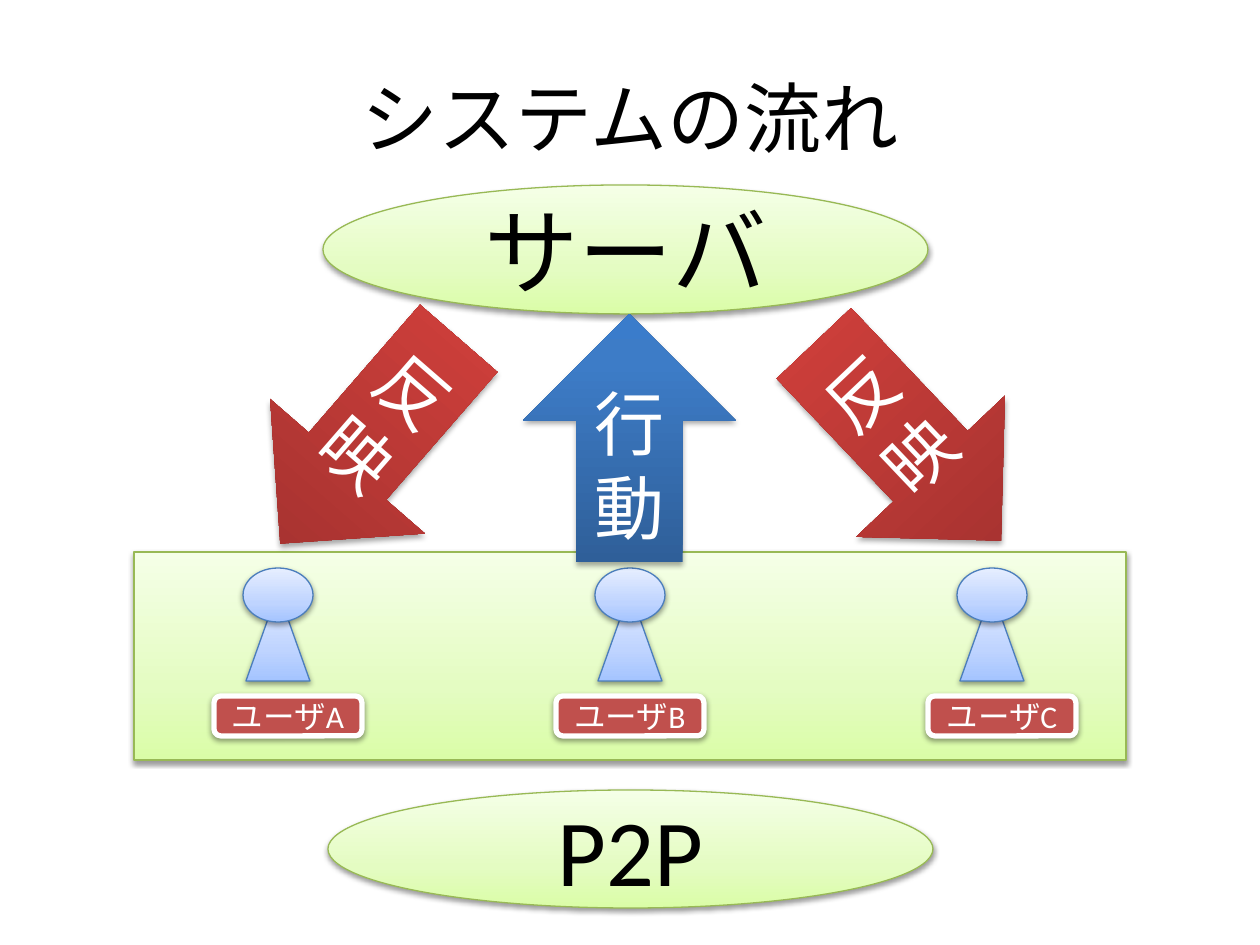
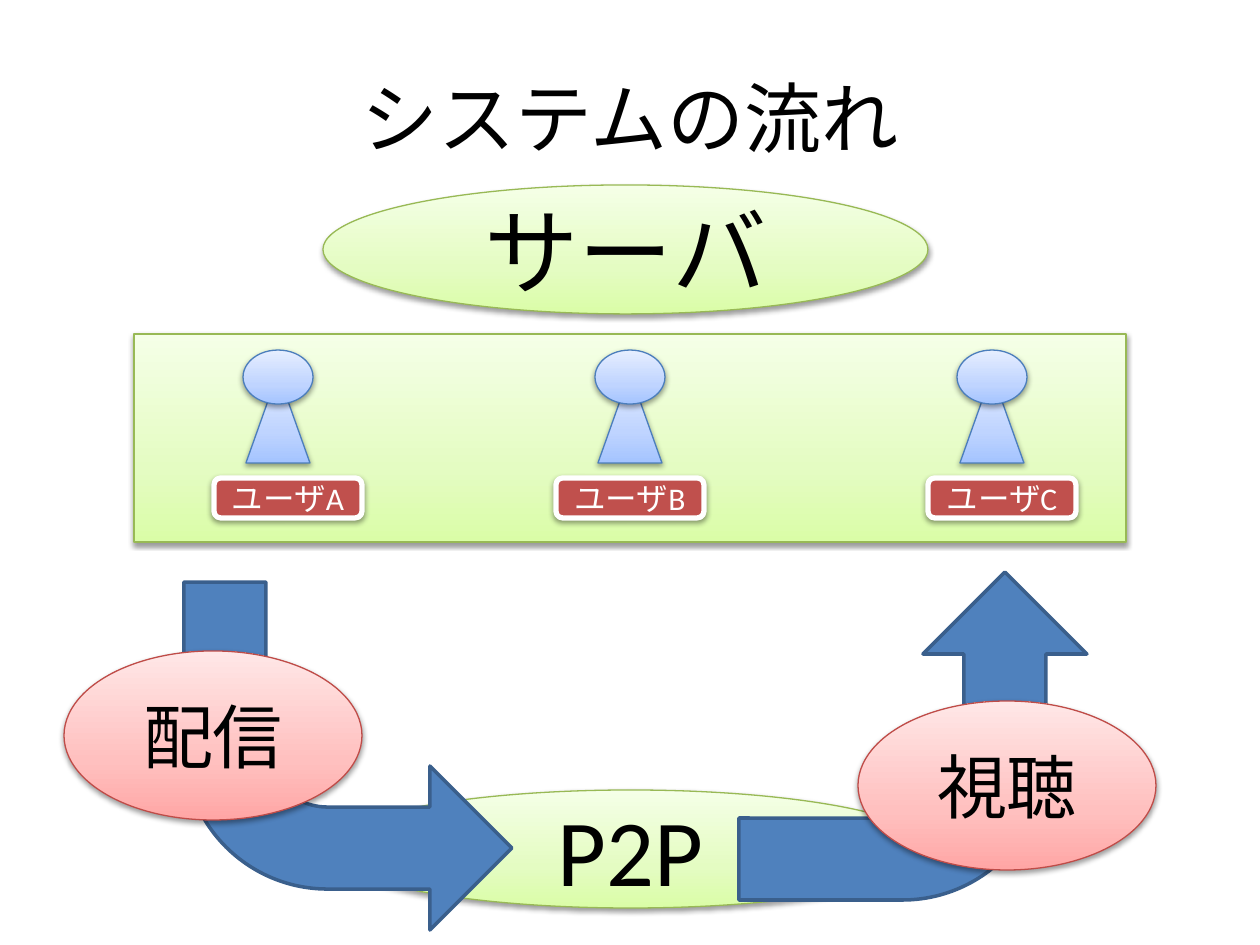
from lxml.etree import SubElement
from pptx import Presentation
from pptx.dml.color import RGBColor
from pptx.enum.lang import MSO_LANGUAGE_ID as Lang
from pptx.enum.shapes import MSO_SHAPE as Shape
from pptx.enum.text import MSO_ANCHOR as Anchor, PP_ALIGN as Align
from pptx.oxml.ns import qn
from pptx.util import Pt

SCALE = 914400 / 126  # EMU in one px
SLIDE_SIZE = (1260, 945)
TITLE_ONLY = 5
FONT = "Calibri"

COLORS = {
    "black": "000000",
    "white": "FFFFFF",
    "label": "C0504D",
    "flow": "4F81BD",
    "flow_line": "3A5F8C",
    "green_line": "98B955",
    "person_line": "4B7EBC",
    "pink_line": "BF4C48",
}
# Gradient stops run from the bottom of a shape to its top
GRADIENTS = {
    "green": ((0, "DAFDA7"), (35, "E4FCC2"), (100, "F5FFE7")),
    "person": ((0, "A4C4FF"), (35, "BFD4FF"), (100, "E6EEFF")),
    "pink": ((0, "FFA6A5"), (35, "FFC0BF"), (100, "FFE7E7")),
    "red": ((0, "9C2F2D"), (80, "CB3E3A"), (100, "CE3B37")),
    "blue": ((0, "2F5F99"), (80, "3D7CC7"), (100, "3A7CCB")),
}
SOFT_SHADOW = {"distance": 20000, "alpha": 38}
STRONG_SHADOW = {"distance": 23000, "alpha": 35}

TITLE_BOX = (63, 38, 1134, 158)
SERVER_BOX = (323, 185, 605, 129)
P2P_BOX = (328, 790, 605, 118)

# Name, centre of the figure and centre of the label, from the band's left
USERS = (("ユーザA", 144, 154), ("ユーザB", 496, 496), ("ユーザC", 858, 868))


def emu(*lengths):
    return [round(length * SCALE) for length in lengths]


def rgb(name):
    return RGBColor.from_string(COLORS[name])


def write(frame, text, size, color):
    """Put one centred run into a text frame."""
    frame.word_wrap = True
    frame.vertical_anchor = Anchor.MIDDLE
    para = frame.paragraphs[0]
    para.alignment = Align.CENTER
    span = para.add_run()
    span.text = text
    font = span.font
    font.name, font.size = FONT, Pt(size)
    font.color.rgb = rgb(color)
    font.language_id = Lang.JAPANESE
    latin = font._element.find(qn("a:latin"))
    east_asian = latin.makeelement(qn("a:ea"), {"typeface": FONT})
    latin.addnext(east_asian)


def fill_gradient(shape, name):
    shape.fill.gradient()
    shape.fill.gradient_angle = 90
    stops = shape._element.spPr.find(".//" + qn("a:gsLst"))
    for stop in list(stops):
        stops.remove(stop)
    for position, color in GRADIENTS[name]:
        stop = SubElement(stops, qn("a:gs"), pos=str(position * 1000))
        SubElement(stop, qn("a:srgbClr"), val=color)


def cast_shadow(shape, distance, alpha):
    effects = shape._element.spPr.find(qn("a:effectLst"))
    shadow = SubElement(effects, qn("a:outerShdw"), blurRad="40000",
                        dist=str(distance), dir="5400000", rotWithShape="0")
    color = SubElement(shadow, qn("a:srgbClr"), val=COLORS["black"])
    SubElement(color, qn("a:alpha"), val=str(alpha * 1000))


def add_part(shapes, kind, box, fill, line=None, width=0.75, shadow=SOFT_SHADOW):
    """Add a preset shape; fill names a gradient or a plain colour."""
    shape = shapes.add_shape(kind, *emu(*box))
    if fill in GRADIENTS:
        fill_gradient(shape, fill)
    else:
        shape.fill.solid()
        shape.fill.fore_color.rgb = rgb(fill)
    if line:
        shape.line.color.rgb = rgb(line)
        shape.line.width = Pt(width)
    else:
        shape.line.fill.background()
    shape.shadow.inherit = False
    if shadow:
        cast_shadow(shape, **shadow)
    return shape


def add_oval(page, box, text, size, fill, line):
    oval = add_part(page.shapes, Shape.OVAL, box, fill, line)
    write(oval.text_frame, text, size, "black")


def add_person(shapes, center, top):
    add_part(shapes, Shape.ISOSCELES_TRIANGLE, (center - 32, top + 23, 64, 90),
             "person", "person_line")
    add_part(shapes, Shape.OVAL, (center - 35, top, 70, 54),
             "person", "person_line")


def add_label(shapes, center, top, name):
    label = add_part(shapes, Shape.ROUNDED_RECTANGLE,
                     (center - 74, top, 148, 40), "label", "white", 3)
    frame = label.text_frame
    # Narrow side margins keep the name on one line
    frame.margin_left = frame.margin_right = 0
    write(frame, name, 18, "white")


def add_user_band(page, box):
    """Green band with three users and their labels."""
    left, top = box[:2]
    shapes = page.shapes.add_group_shape().shapes
    add_part(shapes, Shape.RECTANGLE, box, "green", "green_line")
    for _, figure, _ in USERS:
        add_person(shapes, left + figure, top + 16)
    for name, _, center in USERS:
        add_label(shapes, left + center, top + 144, name)


def add_word_arrow(page, kind, box, text, fill, rotation=0):
    arrow = add_part(page.shapes, kind, box, fill, shadow=STRONG_SHADOW)
    arrow.rotation = rotation
    write(arrow.text_frame, text, 40, "white")


def add_flow(page, arrow_box, rotation, oval_box, text):
    """Bent arrow with a pink oval on top of it."""
    arrow = add_part(page.shapes, Shape.BENT_ARROW, arrow_box,
                     "flow", "flow_line", 2, shadow=None)
    arrow.rotation = rotation
    arrow._element.spPr.find(qn("a:xfrm")).set("flipH", "1")
    add_oval(page, oval_box, text, 40, "pink", "pink_line")


def add_system_page(deck, band_top):
    """Parts found on both slides: title, server, P2P and users."""
    page = deck.slides.add_slide(deck.slide_layouts[TITLE_ONLY])
    title = page.shapes.title
    title.left, title.top, title.width, title.height = emu(*TITLE_BOX)
    write(title.text_frame, "システムの流れ", 44, "black")
    add_oval(page, SERVER_BOX, "サーバ", 54, "green", "green_line")
    add_oval(page, P2P_BOX, "P2P", 54, "green", "green_line")
    add_user_band(page, (134, band_top, 992, 208))
    return page


def add_server_page(deck):
    page = add_system_page(deck, 552)
    down, up = Shape.DOWN_ARROW, Shape.UP_ARROW
    add_word_arrow(page, down, (805, 306, 205, 272), "反映", "red", 316.5)
    add_word_arrow(page, down, (267, 305, 205, 272), "反映", "red", 41)
    add_word_arrow(page, up, (523, 314, 213, 248), "行動", "blue")


def add_p2p_page(deck):
    page = add_system_page(deck, 334)
    add_flow(page, (749, 562, 328, 348), 90, (858, 701, 298, 169), "視聴")
    add_flow(page, (184, 582, 328, 348), 180, (64, 651, 298, 169), "配信")


def main():
    deck = Presentation()
    deck.slide_width, deck.slide_height = emu(*SLIDE_SIZE)
    add_server_page(deck)
    add_p2p_page(deck)
    deck.save("out.pptx")


if __name__ == "__main__":
    main()
